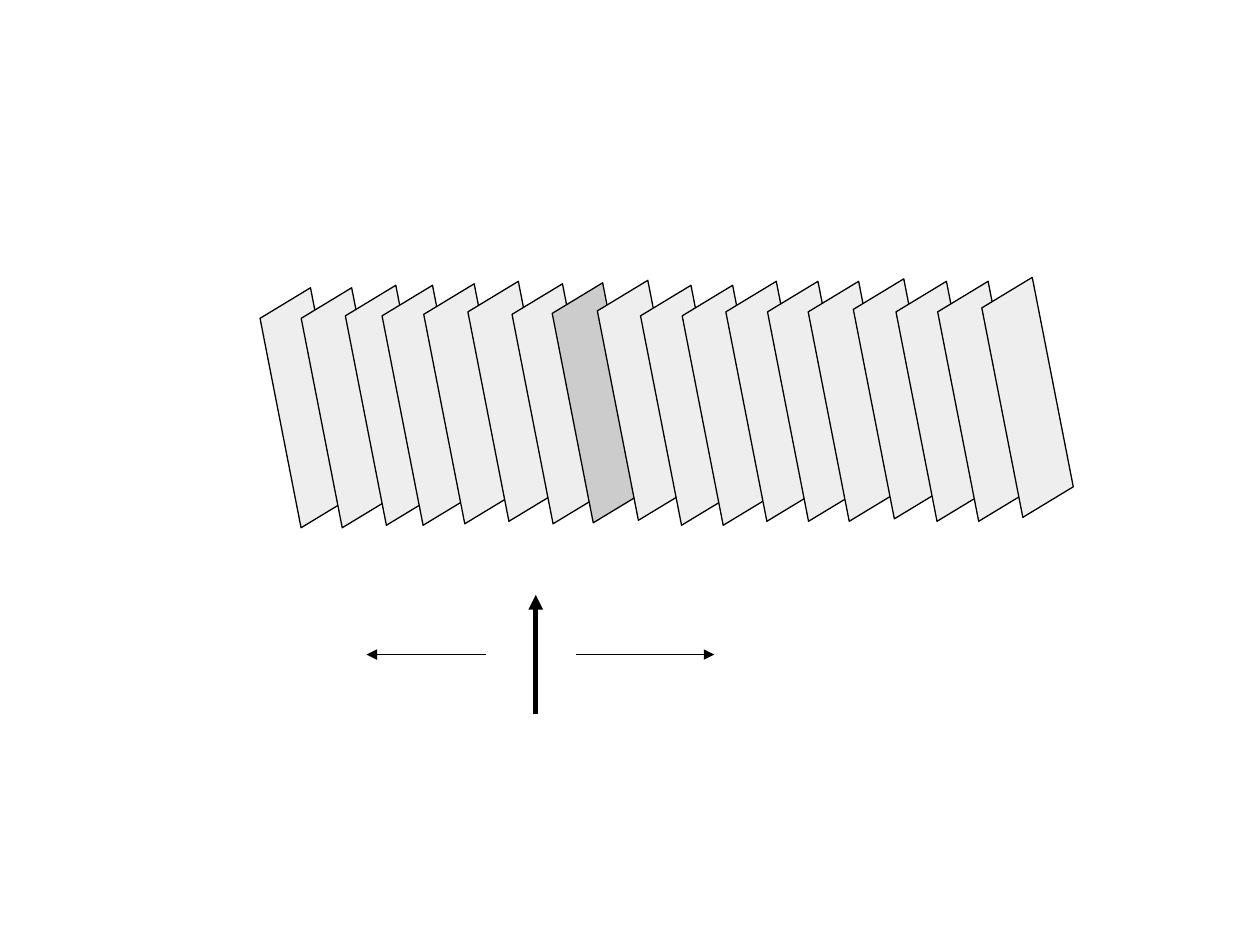
from lxml import etree
from pptx import Presentation
from pptx.dml.color import RGBColor
from pptx.enum.shapes import MSO_CONNECTOR
from pptx.oxml.ns import qn
from pptx.util import Cm, Pt

PANEL_W, PANEL_H, SKEW, TILT = 2.67, 4.04, 1.48, -31.2
PANEL_OFFSETS = [
    (0, 0.21), (0.83, 0.21), (1.72, 0.16), (2.46, 0.16), (3.3, 0.13), (4.19, 0.08),
    (5.08, 0.13), (5.89, 0.11), (6.8, 0.06), (7.67, 0.16), (8.51, 0.16), (9.39, 0.08),
    (10.23, 0.08), (11.05, 0.08), (11.96, 0.03), (12.82, 0.08), (13.66, 0.08), (14.55, 0),
]
SELECTED = 7


def color(value):
    return RGBColor.from_string(value)


def add_panel(s, x, y, fill):
    fb = s.shapes.build_freeform(Cm(x + SKEW), Cm(y))
    corners = [(PANEL_W, 0), (PANEL_W - SKEW, PANEL_H), (0, PANEL_H)]
    fb.add_line_segments([(Cm(x + dx), Cm(y + dy)) for dx, dy in corners], close=True)
    sp = fb.convert_to_shape()
    sp.rotation = TILT
    sp.shadow.inherit = False
    sp.fill.solid()
    sp.fill.fore_color.rgb = color(fill)
    sp.line.color.rgb = color("000000")
    sp.line.width = Pt(0.75)


def add_panel_row(s, left, top):
    for i, (dx, dy) in enumerate(PANEL_OFFSETS):
        add_panel(s, left + dx, top + dy, "CCCCCC" if i == SELECTED else "EEEEEE")


def add_arrow(s, x1, y1, x2, y2, width):
    cx = s.shapes.add_connector(MSO_CONNECTOR.STRAIGHT, Cm(x1), Cm(y1), Cm(x2), Cm(y2))
    cx.line.color.rgb = color("000000")
    cx.line.width = Pt(width)
    etree.SubElement(cx.line._get_or_add_ln(), qn("a:tailEnd"), type="triangle")
    etree.SubElement(cx._element.spPr, qn("a:effectLst"))


def add_direction_arrows(s, left, top, width, height):
    right, bottom = left + width, top + height
    mid, pointer = top + height / 2, left + 3.41
    add_arrow(s, pointer, bottom, pointer, top, 2.83)
    add_arrow(s, left + 2.41, mid, left, mid, 0.75)
    add_arrow(s, left + 4.22, mid, right, mid, 0.75)


def main():
    prs = Presentation()
    prs.slide_width, prs.slide_height = Cm(25.4), Cm(19.05)
    s = prs.slides.add_slide(prs.slide_layouts[6])
    add_panel_row(s, 4.83, 5.99)
    add_direction_arrows(s, 7.39, 11.99, 7.01, 2.41)
    prs.save("out.pptx")


if __name__ == "__main__":
    main()
